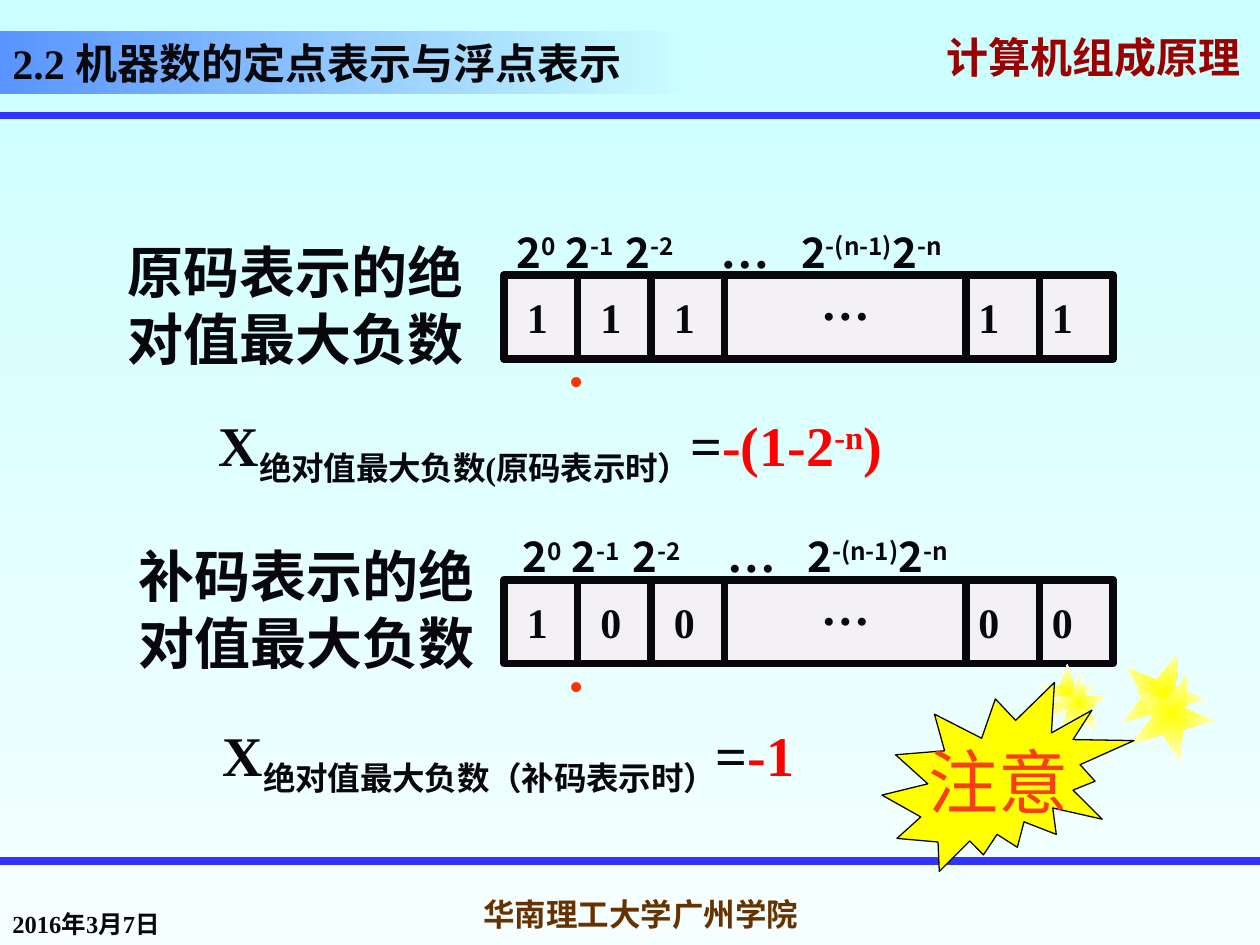
from lxml import etree
from pptx import Presentation
from pptx.dml.color import RGBColor
from pptx.enum.shapes import MSO_CONNECTOR, MSO_SHAPE
from pptx.enum.text import MSO_ANCHOR, PP_ALIGN
from pptx.oxml.ns import qn
from pptx.util import Inches, Pt

STRAIGHT = MSO_CONNECTOR.STRAIGHT
RECTANGLE, STAR, SEAL = MSO_SHAPE.RECTANGLE, MSO_SHAPE.STAR_5_POINT, MSO_SHAPE.EXPLOSION2
TOP, MIDDLE, BOTTOM = MSO_ANCHOR.TOP, MSO_ANCHOR.MIDDLE, MSO_ANCHOR.BOTTOM
LEFT, CENTER = PP_ALIGN.LEFT, PP_ALIGN.CENTER

COLORS = {
    "ink": "08080C", "rule": "3333FF", "course": "990000", "school": "663300",
    "sky": "CCFFFF", "pale": "F5FFFF", "bar": "5994FF", "cell": "F4F1F5",
    "point": "FF3300", "result": "FF0000", "yellow": "FFFF00",
    "cream": "FFFFF5", "notice": "F93D17",
}
SERIF, SANS = "Times New Roman", "Noto Sans CJK SC"
COLUMNS, ROWS = 120, 90
REGISTER_LEFT, REGISTER_WIDTH, REGISTER_HEIGHT, CELL = 48, 58, 8, 7
DIVIDERS = [CELL, 2 * CELL, 3 * CELL, REGISTER_WIDTH - 2 * CELL, REGISTER_WIDTH - CELL]
DIGIT_OFFSETS = [0, CELL, 2 * CELL, REGISTER_WIDTH - 2 * CELL - 1, REGISTER_WIDTH - CELL - 1]
POWER_TABS = [0.39, 0.87, 1.62, 2.26]
POWERS = [("2", "0\t"), ("2", "-1\t"), ("2", "-2\t"), ("…", "\t"), ("2", "-(n-1)"), ("2", "-n")]
STARS = [
    (89, 70.7, 6, 349), (98.9, 63.2, 5.5, 0), (106.7, 62, 8, 22),
    (90.7, 72, 6, 349), (100, 64.2, 5.5, 0), (107.6, 64, 8, 22),
]


def grid(*units):
    """Turn grid units into lengths."""
    return [Inches(unit * 10 / COLUMNS) for unit in units]


def color(name):
    """Look up a colour by its name."""
    return RGBColor.from_string(COLORS[name])


def apply_gradient(fill, start, end, angle=0):
    """Give a fill a two-colour linear gradient."""
    fill.gradient()
    fill.gradient_angle = angle
    for stop, name in zip(fill.gradient_stops, (start, end)):
        stop.color.rgb = color(name)


def make_radial(shape):
    """Turn a linear gradient into one that spreads from the centre."""
    linear = shape._element.spPr.find(".//" + qn("a:lin"))
    path = etree.Element(qn("a:path"), {"path": "shape"})
    etree.SubElement(path, qn("a:fillToRect"), dict.fromkeys("ltrb", "50000"))
    linear.getparent().replace(linear, path)


def add_run(paragraph, text, size, name="ink", font=SERIF, bold=True, baseline=0):
    """Append one styled run to a paragraph."""
    run = paragraph.add_run()
    run.text = text
    run.font.size = Pt(size)
    run.font.bold = bold
    run.font.color.rgb = color(name)
    run.font.name = font
    properties = run._r.get_or_add_rPr()
    etree.SubElement(properties, qn("a:ea"), {"typeface": SANS})
    if baseline:
        properties.set("baseline", str(baseline * 1000))
    return run


def prepare_text(shape, anchor=TOP, align=LEFT, wrap=True):
    """Set up a text frame and return its first paragraph."""
    frame = shape.text_frame
    frame.word_wrap = wrap
    frame.vertical_anchor = anchor
    frame.paragraphs[0].alignment = align
    return frame.paragraphs[0]


def add_text(slide, box, runs, anchor=TOP, align=LEFT):
    """Add a text box whose runs are tuples of add_run arguments."""
    paragraph = prepare_text(slide.shapes.add_textbox(*grid(*box)), anchor, align)
    for run in runs:
        add_run(paragraph, *run)
    return paragraph


def add_figure(slide, kind, box, fill=None, line_width=0):
    """Add a preset shape with a plain fill and an optional ink outline."""
    shape = slide.shapes.add_shape(kind, *grid(*box))
    shape.shadow.inherit = False
    if fill:
        shape.fill.solid()
        shape.fill.fore_color.rgb = color(fill)
    if line_width:
        shape.line.color.rgb = color("ink")
        shape.line.width = Pt(line_width)
    else:
        shape.line.fill.background()
    return shape


def add_line(slide, start, end, name):
    """Add a thick straight line."""
    line = slide.shapes.add_connector(STRAIGHT, *grid(*start, *end))
    line.line.color.rgb = color(name)
    line.line.width = Pt(4.5)
    etree.SubElement(line._element.spPr, qn("a:effectLst"))


def add_powers(slide, left, top):
    """Add the row of bit weights above a register."""
    paragraph = add_text(slide, (left, top, 58.3, 6.8), [], MIDDLE)
    tabs = etree.SubElement(paragraph._p.get_or_add_pPr(), qn("a:tabLst"))
    for position in POWER_TABS:
        etree.SubElement(tabs, qn("a:tab"), {"pos": str(Inches(position)), "algn": "l"})
    for base, exponent in POWERS:
        size, font = (28, SERIF) if base == "…" else (24, SANS)
        add_run(paragraph, base, size, font=font)
        add_run(paragraph, exponent, 24, font=SANS, baseline=30)


def add_register(slide, top, digits, powers_left):
    """Add a register with its dividers, bits, weights and binary point."""
    box = (REGISTER_LEFT, top, REGISTER_WIDTH, REGISTER_HEIGHT)
    add_figure(slide, RECTANGLE, box, "cell", 4.5)
    for offset in DIVIDERS:
        column = REGISTER_LEFT + offset
        add_line(slide, (column, top), (column, top + REGISTER_HEIGHT), "ink")
    for offset, digit in zip(DIGIT_OFFSETS, digits):
        add_text(slide, (REGISTER_LEFT + 1 + offset, top + 1, 8, 6), [(digit, 24)])
    add_text(slide, (77, top - 0.9, 13, 6.8), [("…", 28)])
    add_text(slide, (53, top + 7, 9, 6), [("•", 24, "point", SERIF, False)])
    add_powers(slide, powers_left, top - 5.9)


def add_formula(slide, box, subscript, result):
    """Add a formula from its subscript and its result runs."""
    runs = [("X", 32), (subscript, 32, "ink", SERIF, True, -25), ("=", 32)]
    runs += [(text, 32, "result", SERIF, True, baseline) for text, baseline in result]
    add_text(slide, box, runs, MIDDLE, CENTER)


def add_frame(slide):
    """Add the background, rules, title bar, course name and footer."""
    apply_gradient(slide.background.fill, "sky", "pale", 270)
    course = add_text(slide, (89, 3, 31, 6), [("计算机组成原理", 24, "course", SANS)], MIDDLE)
    course.line_spacing = 0.7
    effects = etree.Element(qn("a:effectLst"))
    shadow = etree.SubElement(effects, qn("a:outerShdw"), {"dist": "35921", "dir": "2700000"})
    etree.SubElement(shadow, qn("a:srgbClr"), {"val": "808080"})
    course.runs[0]._r.rPr.find(qn("a:solidFill")).addnext(effects)
    for row in (11, 82):
        add_line(slide, (0, row), (COLUMNS, row), "rule")
    bar = add_figure(slide, RECTANGLE, (0, 3, 66, 6))
    apply_gradient(bar.fill, "bar", "sky")
    title = prepare_text(bar, BOTTOM)
    add_run(title, "2.2 机器", 24)
    add_run(title, "数的定点表示与浮点表示", 24, font=SANS)
    add_text(slide, (0, 84, 25, 6), [("2016年3月7日", 14)], BOTTOM)
    add_text(slide, (42, 84, 38, 6), [("华南理工大学广州学院", 18, "school")], MIDDLE, CENTER)


def add_notice(slide):
    """Add the notice burst in front of its stars."""
    for left, top, size, angle in STARS:
        star = add_figure(slide, STAR, (left, top, size, size))
        star.rotation = angle
        apply_gradient(star.fill, "yellow", "cream")
        make_radial(star)
    seal = add_figure(slide, SEAL, (84, 65, 24, 18), "yellow", 0.75)
    add_run(prepare_text(seal, MIDDLE, CENTER, False), "注意", 40, "notice", SERIF, False)


def main():
    """Build the slide and save it."""
    presentation = Presentation()
    presentation.slide_width, presentation.slide_height = grid(COLUMNS, ROWS)
    slide = presentation.slides.add_slide(presentation.slide_layouts[6])
    add_frame(slide)
    add_register(slide, 26.2, "11111", 48)
    add_register(slide, 55.2, "10000", 48.6)
    add_text(slide, (11, 22, 35, 14), [("原码表示的绝对值最大负数", 32)])
    add_text(slide, (12, 51, 39, 14), [("补码表示的绝对值最大负数", 32)])
    add_formula(slide, (13.4, 39, 78, 7.5), "绝对值最大负数(原码表示时）",
                [("-(1-2", 0), ("-n", 30), (")", 0)])
    add_formula(slide, (9.2, 68.5, 78.5, 7.5), "绝对值最大负数（补码表示时）", [("-1", 0)])
    add_notice(slide)
    presentation.save("out.pptx")


if __name__ == "__main__":
    main()
